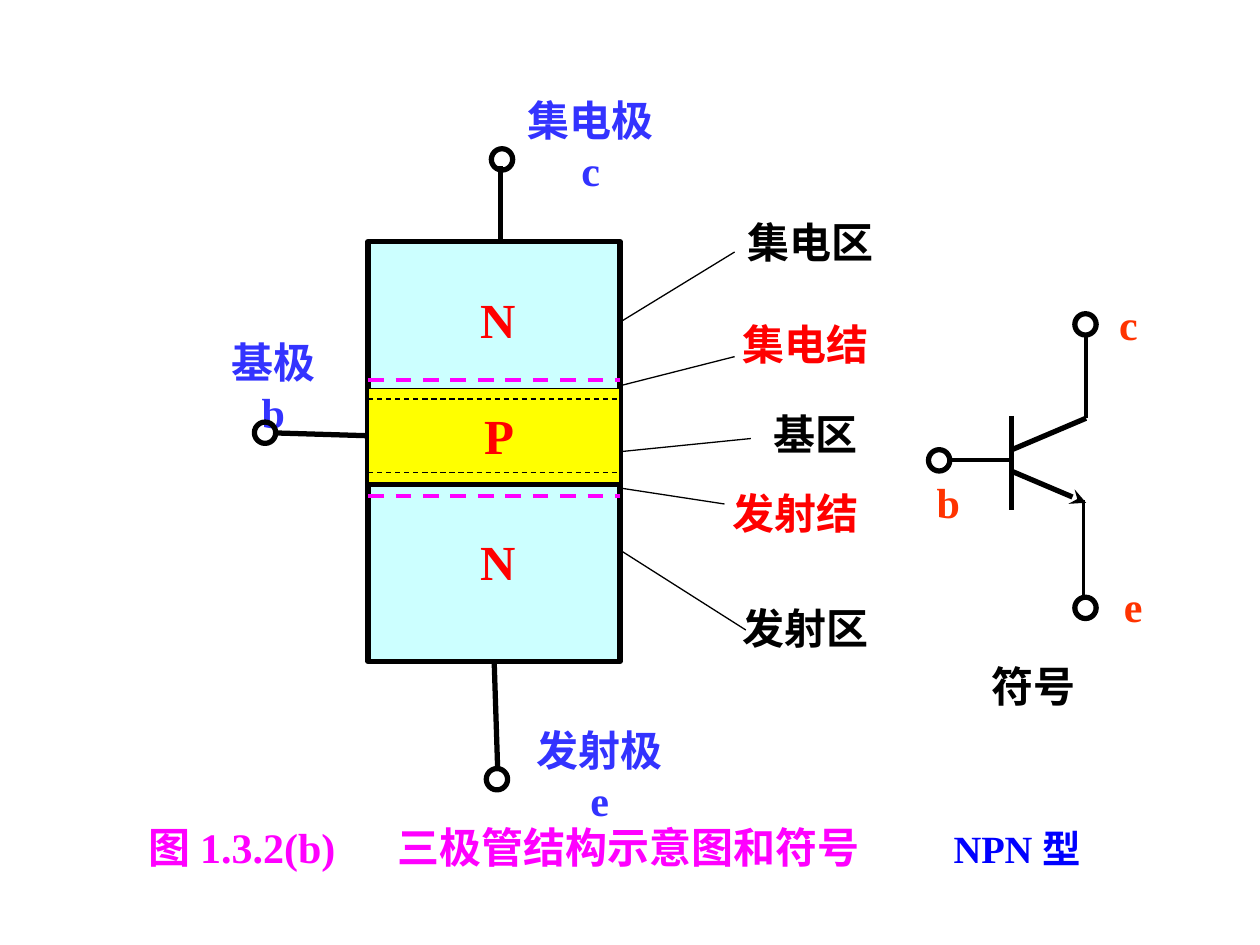
from dataclasses import dataclass

import lxml.etree
import pptx
import pptx.dml.color
import pptx.enum.dml
import pptx.enum.shapes
import pptx.enum.text
import pptx.oxml.ns
import pptx.util

Pt = pptx.util.Pt
FONT = "Times New Roman"
COLORS = {
    "black": "000000",
    "magenta": "FF00FF",
    "blue": "0000FF",
    "violet": "3333FF",
    "red": "FF0000",
    "orange": "FF3300",
    "cyan": "CCFFFF",
    "yellow": "FFFF00",
}
RING = 12.2
BODY_LEFT, BODY_WIDTH = 210.4, 144


@dataclass
class Label:
    text: str
    x: float
    y: float
    w: float
    color: str
    h: float = 36
    size: float = 24
    wrap: bool = False
    margin: float = 7.2
    centered: bool = True


@dataclass
class Wire:
    x1: float
    y1: float
    x2: float
    y2: float
    width: float
    color: str = "black"
    dashed: bool = False
    arrow: bool = False


SYMBOL_LABELS = [
    Label("e", 635, 328.3, 25.2, "orange"),
    Label("c", 623.5, 167, 42.5, "orange"),
    Label("b", 527.8, 268.6, 28.1, "orange"),
    Label("符号", 559.4, 373.7, 62.6, "black"),
]
SYMBOL_WIRES = [
    Wire(578.2, 237.6, 578.2, 291.6, 3),
    Wire(578.2, 257, 620.6, 239, 3),
    Wire(578.2, 269.3, 620.6, 287.3, 3, arrow=True),
    Wire(578.2, 262.8, 542.2, 262.8, 2),
    Wire(620.6, 239, 620.6, 190.8, 2),
    Wire(619.2, 285.8, 619.2, 339.8, 2),
]
SYMBOL_RINGS = [(530.6, 257), (614.2, 179.3), (614.2, 341.3)]
REGION_LABELS = [
    Label("集电区", 419.8, 120.2, 90, "black", wrap=True, centered=False),
    Label("集电结", 416.9, 178.6, 87.1, "red"),
    Label("基区", 434.9, 229.7, 62.6, "black"),
    Label("发射结", 411.1, 275, 87.1, "red"),
    Label("发射区", 416.9, 340.6, 87.1, "black"),
]
LEADERS = [
    Wire(349.2, 187.2, 419.8, 144, 0.75),
    Wire(343.4, 223.2, 419.8, 203.8, 0.75),
    Wire(343.4, 259.2, 429.1, 250.6, 0.75),
    Wire(343.4, 277.2, 414, 288, 0.75),
    Wire(343.4, 307.4, 426.2, 360, 0.75),
]
TERMINAL_LABELS = [
    Label("集电极 c", 285.8, 64.8, 103.7, "violet", wrap=True, margin=10.8),
    Label("基极 b", 115.2, 203, 82.1, "violet", wrap=True, margin=10.8),
    Label("发射极 e", 290.9, 424.8, 103.7, "violet", wrap=True, margin=10.8),
]
TERMINAL_RINGS = [(145.4, 241.2), (280.8, 85), (277.9, 439.2)]
COLLECTOR_LEAD = Wire(285.8, 136.8, 285.8, 95, 3)
EMITTER_LEAD = Wire(283.7, 379.4, 284.4, 439.2, 3)
BASE_LEAD = Wire(210.4, 247, 157, 247.4, 3)
N_LABELS = [Label("N", 267.1, y, 34.6, "red", h=41, size=28) for y in (162, 300.2)]
P_LABEL = Label("P", 269.3, 228.2, 31.7, "red", h=41, size=28)


def rgb(name: str) -> pptx.dml.color.RGBColor:
    return pptx.dml.color.RGBColor.from_string(COLORS[name])


def add_child(parent, tag: str, **attrs: str) -> None:
    lxml.etree.SubElement(parent, pptx.oxml.ns.qn(tag), **attrs)


def draw_label(s, label: Label) -> None:
    sp = s.shapes.add_textbox(Pt(label.x), Pt(label.y), Pt(label.w), Pt(label.h))
    tf = sp.text_frame
    tf.word_wrap = label.wrap
    tf.vertical_anchor = pptx.enum.text.MSO_ANCHOR.MIDDLE
    tf.margin_left = tf.margin_right = Pt(label.margin)
    p = tf.paragraphs[0]
    p.text = label.text
    p.alignment = (pptx.enum.text.PP_ALIGN.CENTER if label.centered
                   else pptx.enum.text.PP_ALIGN.LEFT)
    p.font.name = FONT
    p.font.size = Pt(label.size)
    p.font.bold = True
    p.font.color.rgb = rgb(label.color)


def draw_wire(s, wire: Wire):
    cxn = s.shapes.add_connector(
        pptx.enum.shapes.MSO_CONNECTOR.STRAIGHT,
        Pt(wire.x1), Pt(wire.y1), Pt(wire.x2), Pt(wire.y2))
    cxn.line.color.rgb = rgb(wire.color)
    cxn.line.width = Pt(wire.width)
    if wire.dashed:
        cxn.line.dash_style = pptx.enum.dml.MSO_LINE.DASH
    if wire.arrow:
        add_child(cxn.line._get_or_add_ln(), "a:tailEnd", type="stealth")
    add_child(cxn._element.spPr, "a:effectLst")
    return cxn


def draw_across(s, y: float, width: float, color: str = "black",
                dashed: bool = False) -> None:
    draw_wire(s, Wire(BODY_LEFT, y, BODY_LEFT + BODY_WIDTH, y, width, color, dashed))


def draw_shape(s, kind, x: float, y: float, w: float, h: float,
               line_width: float, fill: str = ""):
    sp = s.shapes.add_shape(kind, Pt(x), Pt(y), Pt(w), Pt(h))
    sp.shadow.inherit = False
    if fill:
        sp.fill.solid()
        sp.fill.fore_color.rgb = rgb(fill)
    else:
        sp.fill.background()
    sp.line.color.rgb = rgb("black")
    sp.line.width = Pt(line_width)
    return sp


def draw_ring(s, x: float, y: float) -> None:
    draw_shape(s, pptx.enum.shapes.MSO_SHAPE.OVAL, x, y, RING, RING, 3)


def draw_region(s, y: float, h: float, line_width: float, fill: str):
    return draw_shape(s, pptx.enum.shapes.MSO_SHAPE.RECTANGLE,
                      BODY_LEFT, y, BODY_WIDTH, h, line_width, fill)


def draw_caption(s) -> None:
    sp = s.shapes.add_textbox(Pt(77.8), Pt(465.8), Pt(594), Pt(36))
    tf = sp.text_frame
    tf.word_wrap = True
    p = tf.paragraphs[0]
    tabs = lxml.etree.SubElement(p._p.get_or_add_pPr(), pptx.oxml.ns.qn("a:tabLst"))
    for stop in (142, 460):
        add_child(tabs, "a:tab", pos=str(Pt(stop)), algn="l")
    p.font.name = FONT
    p.font.bold = True
    for text, size, color in (("图 1.3.2(b)\t三极管结构示意图和符号\t", 24, "magenta"),
                              ("NPN 型", 22, "blue")):
        r = p.add_run()
        r.text = text
        r.font.size = Pt(size)
        r.font.color.rgb = rgb(color)


def main() -> None:
    prs = pptx.Presentation()
    prs.slide_width, prs.slide_height = Pt(720), Pt(540)
    s = prs.slides.add_slide(prs.slide_layouts[6])

    draw_caption(s)
    for label in SYMBOL_LABELS + REGION_LABELS + TERMINAL_LABELS:
        draw_label(s, label)
    for wire in SYMBOL_WIRES + LEADERS:
        draw_wire(s, wire)
    for x, y in SYMBOL_RINGS:
        draw_ring(s, x, y)

    body = draw_region(s, 138, 240, 3, "cyan")
    for y in (223.2, 277.2):
        draw_across(s, y, 2.25)
    draw_wire(s, COLLECTOR_LEAD)
    draw_wire(s, EMITTER_LEAD).begin_connect(body, 2)
    base_lead = draw_wire(s, BASE_LEAD)
    for y in (217.2, 229.2, 271.4, 283.4):
        draw_across(s, y, 2.25, "magenta", dashed=True)
    for x, y in TERMINAL_RINGS:
        draw_ring(s, x, y)
    for label in N_LABELS:
        draw_label(s, label)

    base = draw_region(s, 222, 54, 0.75, "yellow")
    base_lead.begin_connect(base, 1)
    draw_label(s, P_LABEL)
    for y in (228, 270):
        draw_across(s, y, 0.75, dashed=True)

    prs.save("out.pptx")


if __name__ == "__main__":
    main()
